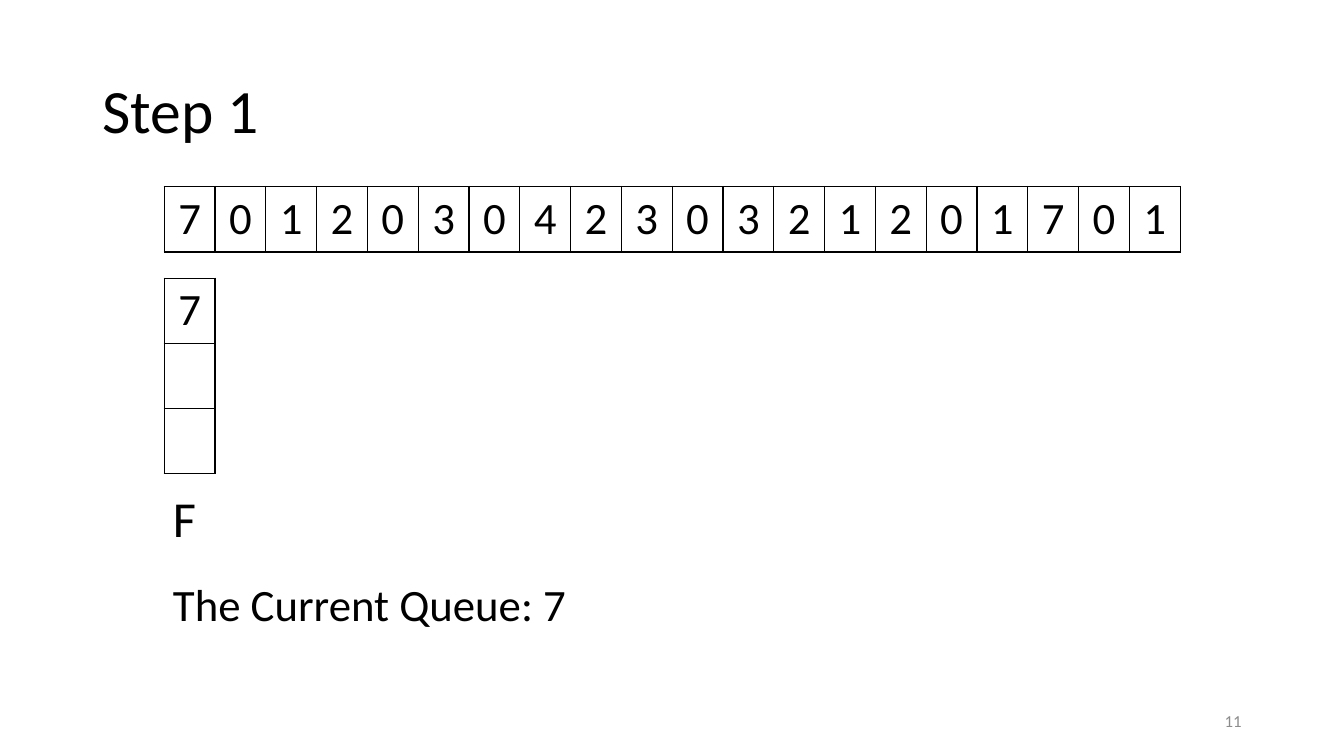
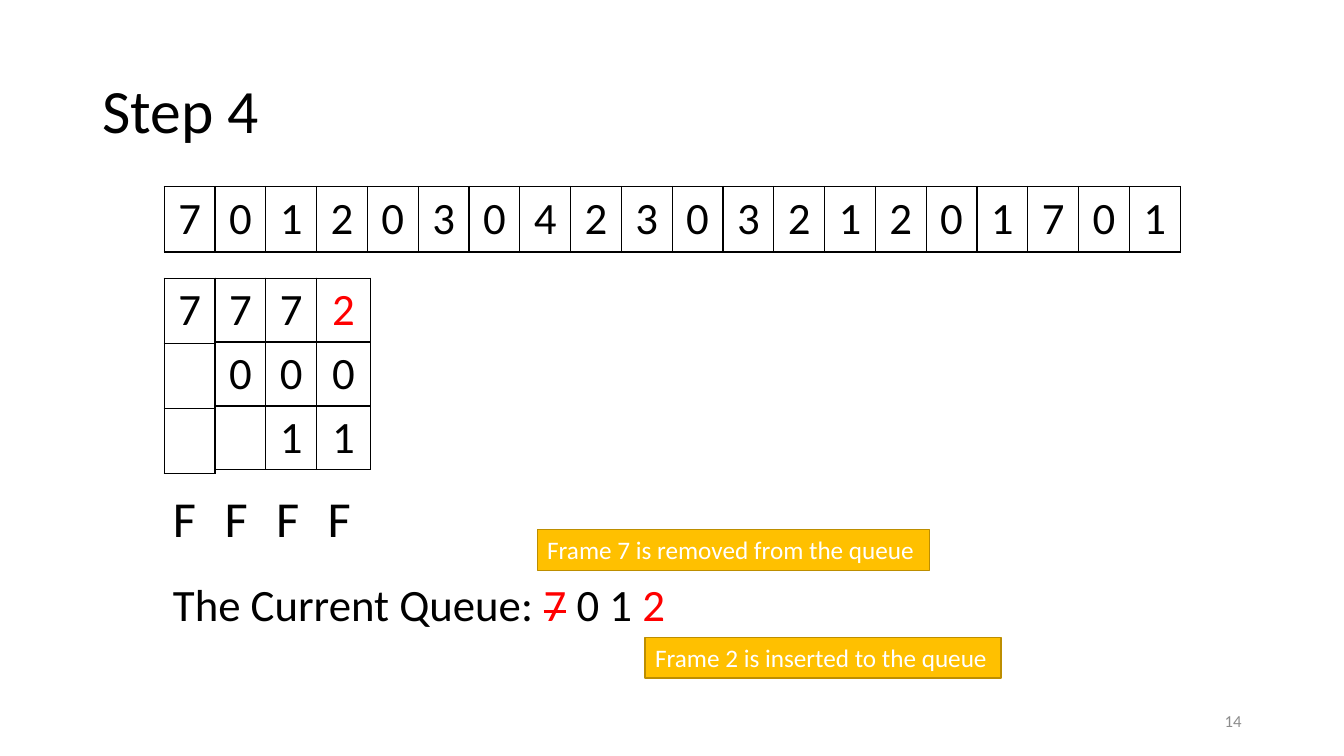
from dataclasses import dataclass

from lxml import etree
from pptx import Presentation
from pptx.dml.color import RGBColor
from pptx.enum.shapes import MSO_SHAPE
from pptx.enum.text import MSO_ANCHOR, MSO_AUTO_SIZE, PP_ALIGN
from pptx.oxml.ns import qn
from pptx.slide import Slide
from pptx.table import _Cell
from pptx.text.text import TextFrame, _Paragraph
from pptx.util import Cm, Pt

RECTANGLE = MSO_SHAPE.RECTANGLE
MIDDLE, TOP = MSO_ANCHOR.MIDDLE, MSO_ANCHOR.TOP
FIT_SHAPE = MSO_AUTO_SIZE.SHAPE_TO_FIT_TEXT
LEFT, CENTER, RIGHT = PP_ALIGN.LEFT, PP_ALIGN.CENTER, PP_ALIGN.RIGHT

BLACK = RGBColor(0x00, 0x00, 0x00)
WHITE = RGBColor(0xFF, 0xFF, 0xFF)
GRAY = RGBColor(0x8C, 0x8C, 0x8C)
RED = RGBColor(0xFF, 0x00, 0x00)
AMBER = RGBColor(0xFF, 0xC0, 0x00)
DARK_AMBER = RGBColor(0xBD, 0x8E, 0x00)

FONT = "Calibri"
REFERENCES = "70120304230321201701"

# Shared grid, in centimetres
GRID_LEFT = 4.14
COLUMN_WIDTH = 1.28
REFERENCE_TOP, REFERENCE_HEIGHT = 4.7, 1.65
FRAMES_TOP = 7.01
LABEL_LEFT, LABEL_STEP = 4.11, 1.3


@dataclass(frozen=True)
class Area:
    left: float
    top: float
    width: float
    height: float

    def lengths(self) -> tuple[Cm, Cm, Cm, Cm]:
        return Cm(self.left), Cm(self.top), Cm(self.width), Cm(self.height)


@dataclass(frozen=True)
class Span:
    text: str
    color: RGBColor = BLACK
    struck: bool = False


@dataclass(frozen=True)
class FrameColumn:
    pages: str
    row_height: float = 1.61
    width: float = COLUMN_WIDTH
    first_color: RGBColor = BLACK


@dataclass(frozen=True)
class Callout:
    text: str
    area: Area


@dataclass(frozen=True)
class Step:
    title: str
    number: int
    columns: list[FrameColumn]
    queue: list[Span]
    queue_width: float
    callouts: list[Callout]


FIRST_COLUMN = FrameColumn("7  ", row_height=1.64)
STEPS = [
    Step("Step 1", 11, [FIRST_COLUMN], [Span("7")], 10.8, []),
    Step(
        "Step 4", 14,
        [FIRST_COLUMN, FrameColumn("70 "), FrameColumn("701"),
         FrameColumn("201", width=1.35, first_color=RED)],
        [Span("7", RED, struck=True), Span(" 0 1 "), Span("2", RED)], 13.28,
        [Callout("Frame 7 is removed from the queue", Area(13.54, 13.34, 9.88, 1.03)),
         Callout("Frame 2 is inserted to the queue", Area(16.26, 16.06, 8.97, 1.03))],
    ),
]


def style_paragraph(para: _Paragraph, size: int, color: RGBColor,
                    align: PP_ALIGN = LEFT) -> None:
    para.alignment = align
    para.font.name = FONT
    para.font.size = Pt(size)
    para.font.color.rgb = color


def fit_to_text(frame: TextFrame) -> None:
    frame.word_wrap = False
    frame.auto_size = FIT_SHAPE


def add_text(page: Slide, area: Area, text: str, size: int, color: RGBColor = BLACK,
             align: PP_ALIGN = LEFT, anchor: MSO_ANCHOR = TOP) -> TextFrame:
    frame = page.shapes.add_textbox(*area.lengths()).text_frame
    frame.word_wrap = True
    frame.vertical_anchor = anchor
    frame.text = text
    style_paragraph(frame.paragraphs[0], size, color, align)
    return frame


def outline_cell(cell: _Cell) -> None:
    properties = cell._tc.get_or_add_tcPr()
    for side in ("a:lnL", "a:lnR", "a:lnT", "a:lnB"):
        line = etree.SubElement(properties, qn(side), w=str(Pt(1)))
        fill = etree.SubElement(line, qn("a:solidFill"))
        etree.SubElement(fill, qn("a:srgbClr"), val=str(BLACK))


def add_grid(page: Slide, area: Area, rows: list[str],
             first_color: RGBColor = BLACK) -> None:
    """Draw a bordered table with one character per cell."""
    table = page.shapes.add_table(len(rows), len(rows[0]), *area.lengths()).table
    table.first_row = table.horz_banding = False
    for row_index, row in enumerate(rows):
        for column_index, value in enumerate(row):
            cell = table.cell(row_index, column_index)
            cell.text = value.strip()
            color = first_color if row_index == 0 else BLACK
            style_paragraph(cell.text_frame.paragraphs[0], 32, color, CENTER)
            outline_cell(cell)
            cell.fill.background()


def add_frame_column(page: Slide, index: int, column: FrameColumn) -> None:
    height = column.row_height * len(column.pages)
    area = Area(GRID_LEFT + index * COLUMN_WIDTH, FRAMES_TOP, column.width, height)
    add_grid(page, area, list(column.pages), column.first_color)
    label_area = Area(LABEL_LEFT + index * LABEL_STEP, 12.14, 1.09, 1.8)
    fit_to_text(add_text(page, label_area, "F", 36))


def add_queue(page: Slide, step: Step) -> None:
    area = Area(LABEL_LEFT, 14.4, step.queue_width, 1.63)
    frame = add_text(page, area, "The Current Queue: ", 32)
    fit_to_text(frame)
    for part in step.queue:
        span = frame.paragraphs[0].add_run()
        span.text = part.text
        span.font.color.rgb = part.color
        if part.struck:
            span._r.get_or_add_rPr().set("strike", "sngStrike")


def add_callout(page: Slide, callout: Callout) -> None:
    box = page.shapes.add_shape(RECTANGLE, *callout.area.lengths())
    box.shadow.inherit = False
    box.fill.solid()
    box.fill.fore_color.rgb = AMBER
    box.line.color.rgb = DARK_AMBER
    box.line.width = Pt(1)
    frame = box.text_frame
    fit_to_text(frame)
    frame.vertical_anchor = TOP
    frame.text = callout.text
    style_paragraph(frame.paragraphs[0], 18, WHITE)


def add_step(page: Slide, step: Step) -> None:
    # Title and page number
    title = add_text(page, Area(2.33, 1.01, 29.21, 3.68), step.title, 44, anchor=MIDDLE)
    title.paragraphs[0].line_spacing = 0.9
    add_text(page, Area(23.92, 17.65, 7.62, 1.01), str(step.number), 12, GRAY,
             RIGHT, MIDDLE)

    # Reference string and memory frames
    width = COLUMN_WIDTH * len(REFERENCES)
    add_grid(page, Area(GRID_LEFT, REFERENCE_TOP, width, REFERENCE_HEIGHT), [REFERENCES])
    for index, column in enumerate(step.columns):
        add_frame_column(page, index, column)

    # Queue and its changes
    add_queue(page, step)
    for callout in step.callouts:
        add_callout(page, callout)


def main() -> None:
    deck = Presentation()
    deck.slide_width, deck.slide_height = Cm(33.87), Cm(19.05)
    blank = deck.slide_layouts[6]
    for step in STEPS:
        add_step(deck.slides.add_slide(blank), step)
    deck.save("out.pptx")


if __name__ == "__main__":
    main()
